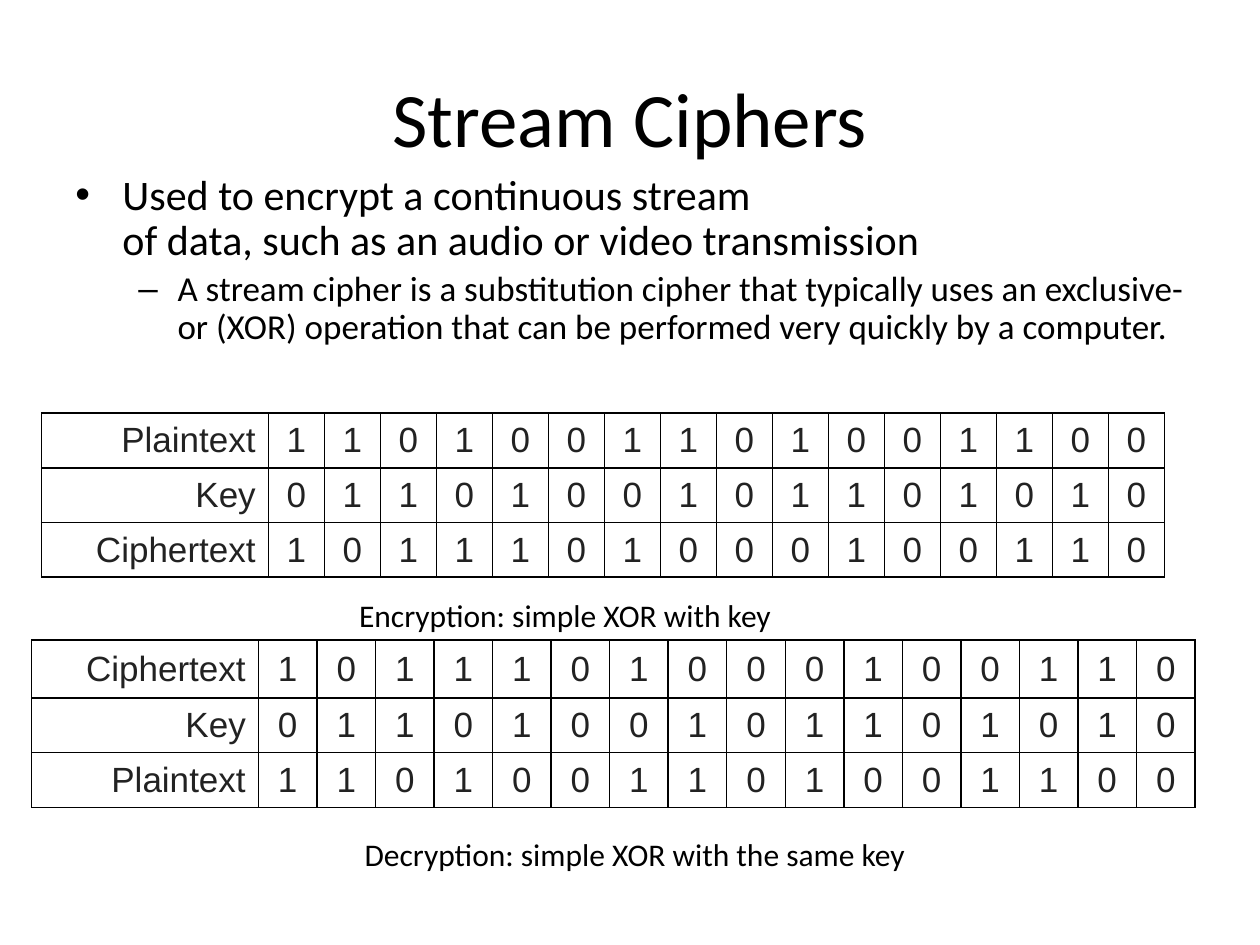
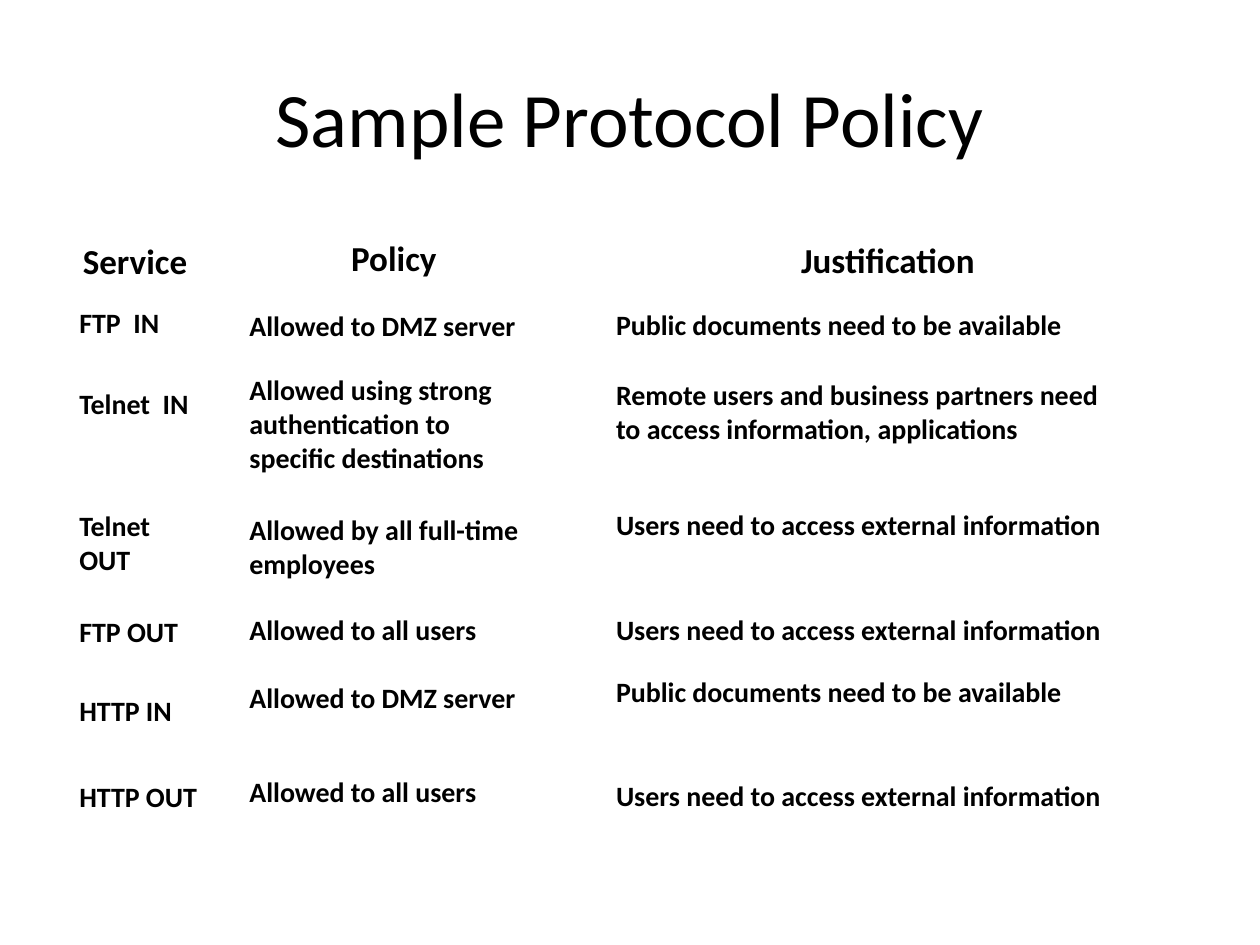
from lxml.etree import SubElement
from pptx import Presentation
from pptx.dml.color import RGBColor
from pptx.enum.shapes import MSO_SHAPE
from pptx.enum.text import MSO_ANCHOR as Anchor, PP_ALIGN as Align
from pptx.oxml.ns import qn
from pptx.util import Cm, Pt

BLACK = RGBColor(0x00, 0x00, 0x00)
WHITE = RGBColor(0xFF, 0xFF, 0xFF)
CHARCOAL = RGBColor(0x22, 0x22, 0x22)
BODY_FONT = "Calibri"
BIT_FONT = "Arial"

TITLE_BOX = (1.27, 0.76, 22.86, 3.18)
BODY_BOX = (1.27, 3.38, 22.86, 4.65)

PLAINTEXT = "1101001101001100"
KEY = "0110100101101010"
CIPHERTEXT = "".join(str(int(p != k)) for p, k in zip(PLAINTEXT, KEY))

LABEL_WIDTH = 4.57
BIT_TABLES = [
    {"left": 0.84, "top": 8.33, "bit_width": 1.13, "heights": (1.04, 1.04, 1.04),
     "rows": [("Plaintext", PLAINTEXT), ("Key", KEY), ("Ciphertext", CIPHERTEXT)]},
    {"left": 0.64, "top": 12.9, "bit_width": 1.18, "heights": (1.17, 1.04, 1.04),
     "rows": [("Ciphertext", CIPHERTEXT), ("Key", KEY), ("Plaintext", PLAINTEXT)]},
]
CAPTIONS = [
    ("Encryption: simple XOR with key", (6.99, 11.89, 13.79, 1.02), Align.LEFT),
    ("Decryption: simple XOR with the same key", (5.28, 16.71, 15.04, 1.07), Align.CENTER),
]
BULLETS = [
    ("Used to encrypt a continuous stream\vof data, such as an audio or video transmission",
     "•", 24, 0.95, 0.95),
    ("A stream cipher is a substitution cipher that typically uses an exclusive-or (XOR) "
     "operation that can be performed very quickly by a computer.",
     "–", 20, 2.06, 0.79),
]

ONE_LINE, TWO_LINES, THREE_LINES = 0.89, 1.57, 2.26
HEADINGS = [
    ("Service", (1.47, 4.72, 2.95, 1.07)),
    ("Policy", (6.88, 4.67, 2.51, 1.07)),
    ("Justification", (15.95, 4.7, 4.6, 1.07)),
]
POLICY_COLUMNS = [
    (1.4, [
        ("FTP  IN", 6.07, 2.36, ONE_LINE),
        ("Telnet  IN", 7.7, 2.95, ONE_LINE),
        ("Telnet\vOUT", 10.16, 2.77, TWO_LINES),
        ("FTP OUT", 12.29, 2.84, ONE_LINE),
        ("HTTP IN", 13.89, 2.62, ONE_LINE),
        ("HTTP OUT", 15.62, 3.25, ONE_LINE),
    ]),
    (4.83, [
        ("Allowed to DMZ server", 6.12, 6.55, ONE_LINE),
        ("Allowed using strong authentication to specific destinations",
         7.42, 6.22, THREE_LINES),
        ("Allowed by all full-time\vemployees", 10.24, 6.76, TWO_LINES),
        ("Allowed to all users", 12.24, 5.77, ONE_LINE),
        ("Allowed to DMZ server", 13.61, 6.55, ONE_LINE),
        ("Allowed to all users", 15.52, 5.77, ONE_LINE),
    ]),
    (12.22, [
        ("Public documents need to be available", 6.1, 10.9, ONE_LINE),
        ("Remote users and business partners need\vto access information, applications",
         7.52, 12.07, TWO_LINES),
        ("Users need to access external information", 10.13, 11.89, ONE_LINE),
        ("Users need to access external information", 12.24, 11.89, ONE_LINE),
        ("Public documents need to be available", 13.49, 11.05, ONE_LINE),
        ("Users need to access external information", 15.6, 11.89, ONE_LINE),
    ]),
]


def in_cm(box):
    return [Cm(length) for length in box]


def write(paragraph, text, size, align=Align.LEFT, font=BODY_FONT, color=BLACK, bold=False):
    paragraph.text = text
    paragraph.alignment = align
    for run in paragraph.runs:
        run.font.name = font
        run.font.size = Pt(size)
        run.font.bold = bold
        run.font.color.rgb = color


def add_text(slide, text, box, size, align, anchor=Anchor.TOP):
    frame = slide.shapes.add_textbox(*in_cm(box)).text_frame
    frame.word_wrap = True
    frame.vertical_anchor = anchor
    write(frame.paragraphs[0], text, size, align)


def add_titled_slide(deck, title):
    slide = deck.slides.add_slide(deck.slide_layouts[6])
    add_text(slide, title, TITLE_BOX, 44, Align.CENTER, Anchor.MIDDLE)
    return slide


def add_bullets(slide):
    frame = slide.shapes.add_textbox(*in_cm(BODY_BOX)).text_frame
    frame.word_wrap = True
    for index, (text, mark, size, margin, hang) in enumerate(BULLETS):
        paragraph = frame.add_paragraph() if index else frame.paragraphs[0]
        write(paragraph, text, size)
        paragraph.level = index
        paragraph.line_spacing = 0.9
        paragraph.space_before = Pt(size * 0.2)
        properties = paragraph._p.get_or_add_pPr()
        properties.set("marL", str(Cm(margin)))
        properties.set("indent", str(-Cm(hang)))
        SubElement(properties, qn("a:buFont"), typeface="Arial")
        SubElement(properties, qn("a:buChar"), char=mark)


def outline(cell):
    properties = cell._tc.get_or_add_tcPr()
    for position, side in enumerate(("lnL", "lnR", "lnT", "lnB")):
        line = SubElement(properties, qn(f"a:{side}"), w=str(Pt(1)))
        properties.insert(position, line)
        fill = SubElement(line, qn("a:solidFill"))
        SubElement(fill, qn("a:srgbClr"), val=str(BLACK))


def add_bit_table(slide, left, top, bit_width, heights, rows):
    widths = [LABEL_WIDTH] + [bit_width] * len(KEY)
    box = in_cm((left, top, sum(widths), sum(heights)))
    table = slide.shapes.add_table(len(rows), len(widths), *box).table
    table.first_row = table.horz_banding = False
    for column, width in zip(table.columns, widths):
        column.width = Cm(width)
    for row, height, (label, bits) in zip(table.rows, heights, rows):
        row.height = Cm(height)
        for index, (cell, text) in enumerate(zip(row.cells, [label, *bits])):
            cell.fill.background()
            cell.vertical_anchor = Anchor.MIDDLE
            align = Align.CENTER if index else Align.RIGHT
            write(cell.text_frame.paragraphs[0], text, 20, align, BIT_FONT, CHARCOAL)
            outline(cell)


def add_policy_entry(slide, text, box, size):
    entry = slide.shapes.add_shape(MSO_SHAPE.RECTANGLE, *in_cm(box))
    entry.shadow.inherit = False
    entry.fill.solid()
    entry.fill.fore_color.rgb = WHITE
    entry.line.fill.background()
    frame = entry.text_frame
    frame.word_wrap = True
    frame.vertical_anchor = Anchor.TOP
    frame.margin_left = frame.margin_right = Cm(0.2)
    frame.margin_top = frame.margin_bottom = Cm(0.1)
    write(frame.paragraphs[0], text, size, bold=True)


def main():
    deck = Presentation()
    deck.slide_width, deck.slide_height = Cm(25.4), Cm(19.05)

    ciphers = add_titled_slide(deck, "Stream Ciphers")
    add_bullets(ciphers)
    for bit_table in BIT_TABLES:
        add_bit_table(ciphers, **bit_table)
    for text, box, align in CAPTIONS:
        add_text(ciphers, text, box, 18, align)

    policy = add_titled_slide(deck, "Sample Protocol Policy")
    for text, box in HEADINGS:
        add_policy_entry(policy, text, box, 20)
    for left, entries in POLICY_COLUMNS:
        for text, top, width, height in entries:
            add_policy_entry(policy, text, (left, top, width, height), 16)

    deck.save("out.pptx")


if __name__ == "__main__":
    main()
